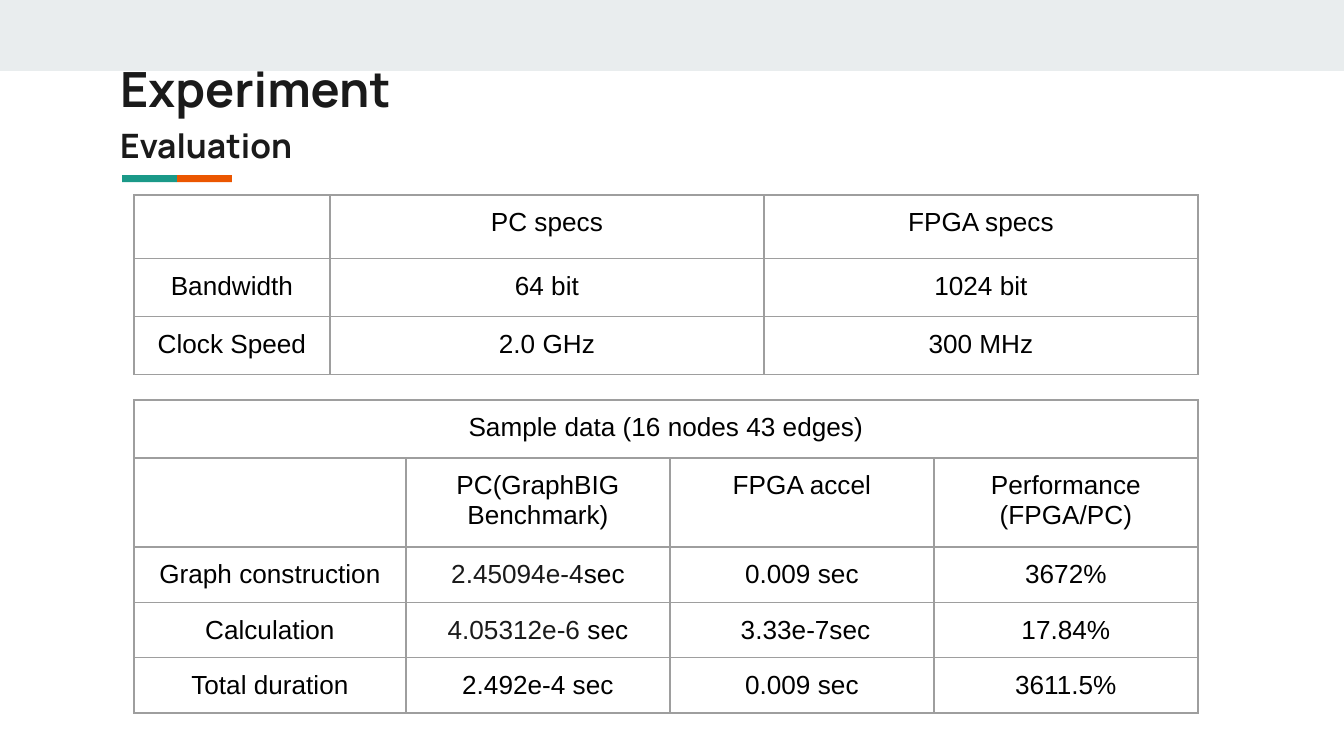
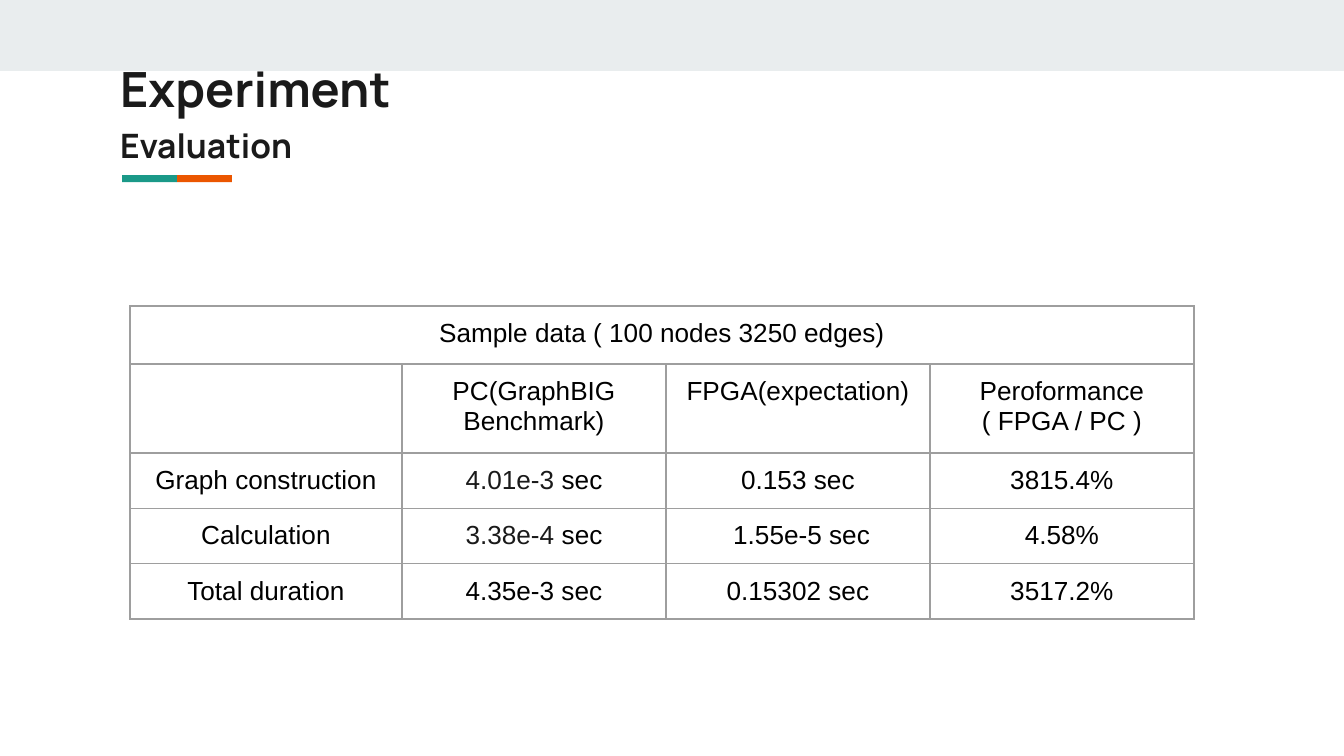
from dataclasses import dataclass

from lxml import etree
from pptx import Presentation
from pptx.dml.color import RGBColor
from pptx.enum.shapes import MSO_SHAPE
from pptx.enum.text import MSO_ANCHOR, MSO_AUTO_SIZE, PP_ALIGN
from pptx.oxml.ns import qn
from pptx.util import Emu, Pt

RECTANGLE = MSO_SHAPE.RECTANGLE
TOP = MSO_ANCHOR.TOP
FIXED = MSO_AUTO_SIZE.NONE
LEFT, CENTER = PP_ALIGN.LEFT, PP_ALIGN.CENTER

EMU_PER_PX = 914400 / 134.4
PAGE_WIDTH, PAGE_HEIGHT = 1344, 756
INSET = 13
TABLE_FRAME = 441
BAR_LENGTH, BAR_THICKNESS = 750, 37

SPEC_COLUMNS = [196, 434, 434]
SPEC_ROWS = [58, 58, 58]
RESULT_COLUMNS = [272, 264, 264, 264]
RESULT_ROWS = [58, 89, 51, 39, 23]

# A cell given as a pair has its first part in the ink colour.
SPECS = [
    ["", "PC specs", "FPGA specs"],
    ["Bandwidth", "64 bit", "1024 bit"],
    ["Clock Speed", "2.0 GHz", "300 MHz"],
]
SMALL_SAMPLE = [
    ["Sample data (16 nodes 43 edges)", "", "", ""],
    ["", "PC(GraphBIG Benchmark)", "FPGA accel", "Performance\n(FPGA/PC)"],
    ["Graph construction", ("2.45094e-4", "sec"), "0.009 sec", "3672%"],
    ["Calculation", ("4.05312e-6", " sec"), " 3.33e-7sec", "17.84%"],
    ["Total duration", "2.492e-4 sec", "0.009 sec", "3611.5%"],
]
LARGE_SAMPLE = [
    ["Sample data ( 100 nodes 3250 edges)", "", "", ""],
    ["", "PC(GraphBIG Benchmark)", "FPGA(expectation)", "Peroformance\n( FPGA / PC )"],
    ["Graph construction", ("4.01e-3 ", "sec"), "0.153 sec", "3815.4%"],
    ["Calculation", ("3.38e-4", " sec"), " 1.55e-5 sec", "4.58%"],
    ["Total duration", "4.35e-3 sec", "0.15302 sec", "3517.2%"],
]


@dataclass(frozen=True)
class Theme:
    band: str = "E9EDEE"
    teal: str = "1A9988"
    orange: str = "EB5600"
    ink: str = "1A1A1A"
    black: str = "000000"
    grid: str = "9E9E9E"
    heading_font: str = "Manrope"
    table_font: str = "Arial"
    title_size: int = 26
    subtitle_size: int = 18
    table_size: int = 14
    blank_size: int = 18
    grid_width: float = 0.75


def px(length):
    return Emu(round(length * EMU_PER_PX))


class DeckBuilder:
    def __init__(self, theme):
        self.theme = theme
        self.deck = Presentation()
        self.deck.slide_width = px(PAGE_WIDTH)
        self.deck.slide_height = px(PAGE_HEIGHT)
        self.page = None

    def add_page(self, title, subtitle):
        theme = self.theme
        self.page = self.deck.slides.add_slide(self.deck.slide_layouts[0])
        self.bar(self.page.shapes, 0, 0, PAGE_WIDTH, 71, theme.band)
        self.accent(122, 175, 110, 7)
        title_box, subtitle_box = self.page.placeholders
        self.heading(title_box, title, 46, 83, theme.title_size)
        self.heading(subtitle_box, subtitle, 112, 94, theme.subtitle_size)

    def bar(self, shapes, left, top, width, height, color):
        bar = shapes.add_shape(
            RECTANGLE, px(left), px(top), px(width), px(height))
        bar.shadow.inherit = False
        bar.fill.solid()
        bar.fill.fore_color.rgb = RGBColor.from_string(color)
        bar.line.fill.background()
        return bar

    def accent(self, left, top, width, height):
        """Two upright bars turned on their side in a group scaled to the given box."""
        group = self.page.shapes.add_group_shape()
        bar_top = (BAR_THICKNESS - BAR_LENGTH) / 2
        for index, color in ((1, self.theme.orange), (0, self.theme.teal)):
            bar_left = (index + 0.5) * BAR_LENGTH - BAR_THICKNESS / 2
            bar = self.bar(group.shapes, bar_left, bar_top,
                           BAR_THICKNESS, BAR_LENGTH, color)
            bar.rotation = 270
        group.left, group.top = px(left), px(top)
        group.width, group.height = px(width), px(height)
        offset, extent = group._element.chOff, group._element.chExt
        offset.x = offset.y = Emu(0)
        extent.cx, extent.cy = px(2 * BAR_LENGTH), px(BAR_THICKNESS)

    def heading(self, box, text, top, height, size):
        box.left, box.top = px(107), px(top)
        box.width, box.height = px(1130), px(height)
        # Moves the placeholder in front of the bars.
        self.page.shapes._spTree.append(box._element)
        frame = box.text_frame
        frame.auto_size = FIXED
        frame.word_wrap = True
        frame.vertical_anchor = TOP
        frame.margin_left = frame.margin_right = px(INSET)
        frame.margin_top = frame.margin_bottom = px(INSET)
        para = frame.paragraphs[0]
        para.alignment = LEFT
        para.space_before = Pt(0)
        self.span(para, text, self.theme.heading_font, size, self.theme.ink, True)

    def span(self, para, text, font, size, color, bold=False):
        span = para.add_run()
        span.text = text
        span.font.name = font
        span.font.size = Pt(size)
        span.font.bold = bold
        span.font.color.rgb = RGBColor.from_string(color)

    def table(self, left, top, columns, heights, rows, caption=False):
        """Draw a ruled table; a caption row spans every column, rows grow to fit text."""
        frame = self.page.shapes.add_table(
            len(rows), len(columns), px(left), px(top),
            px(sum(columns)), px(sum(heights)))
        table = frame.table
        table.first_row = table.horz_banding = False
        for column, width in zip(table.columns, columns):
            column.width = px(width)
        for row, height in zip(table.rows, heights):
            row.height = px(height)
        for row, values in zip(table.rows, rows):
            for cell, value in zip(row.cells, values):
                self.cell(cell, value)
        if caption:
            table.cell(0, 0).merge(table.cell(0, len(columns) - 1))
        frame.width = frame.height = px(TABLE_FRAME)

    def cell(self, cell, value):
        theme = self.theme
        cell.margin_left = cell.margin_right = px(INSET)
        cell.margin_top = cell.margin_bottom = px(INSET)
        cell.vertical_anchor = TOP
        cell.fill.background()
        self.borders(cell)
        lead, rest = value if isinstance(value, tuple) else ("", value)
        frame = cell.text_frame
        for index, line in enumerate(rest.split("\n")):
            para = frame.add_paragraph() if index else frame.paragraphs[0]
            para.alignment = CENTER
            if lead:
                self.span(para, lead, theme.table_font, theme.table_size, theme.ink)
            if line:
                self.span(para, line, theme.table_font, theme.table_size, theme.black)
            else:
                self.blank(para)

    def blank(self, para):
        """Give an empty paragraph the table font, which sets its line height."""
        end = etree.SubElement(para._p, qn("a:endParaRPr"),
                               sz=str(self.theme.blank_size * 100))
        etree.SubElement(end, qn("a:latin"), typeface=self.theme.table_font)

    def borders(self, cell):
        properties = cell._tc.get_or_add_tcPr()
        for index, side in enumerate(("a:lnL", "a:lnR", "a:lnT", "a:lnB")):
            line = etree.Element(qn(side), w=str(Pt(self.theme.grid_width)))
            fill = etree.SubElement(line, qn("a:solidFill"))
            etree.SubElement(fill, qn("a:srgbClr"), val=self.theme.grid)
            properties.insert(index, line)


def main():
    builder = DeckBuilder(Theme())
    builder.add_page("Experiment", "Evaluation")
    builder.table(134, 195, SPEC_COLUMNS, SPEC_ROWS, SPECS)
    builder.table(134, 400, RESULT_COLUMNS, RESULT_ROWS, SMALL_SAMPLE, caption=True)
    builder.add_page("Experiment", "Evaluation")
    builder.table(130, 306, RESULT_COLUMNS, RESULT_ROWS, LARGE_SAMPLE, caption=True)
    builder.deck.save("out.pptx")


if __name__ == "__main__":
    main()
